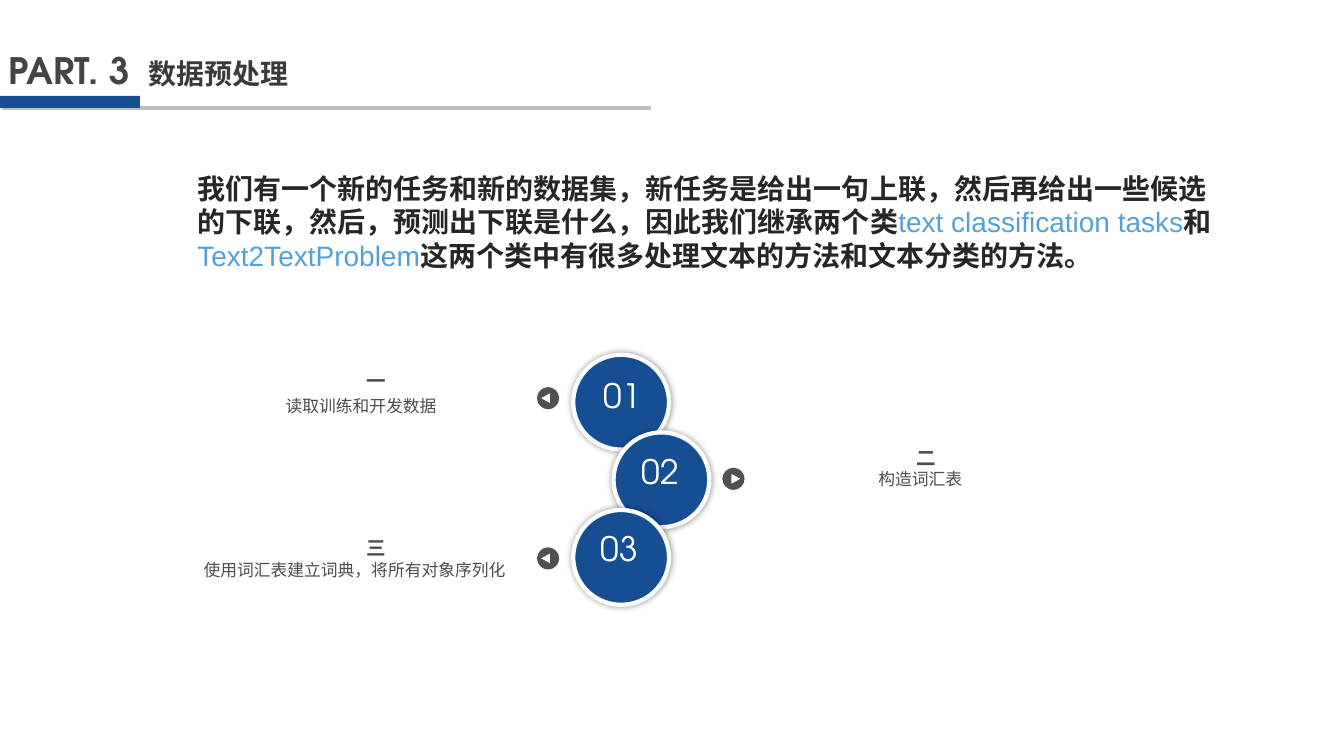
from lxml.etree import SubElement
from pptx import Presentation
from pptx.dml.color import RGBColor
from pptx.enum.shapes import MSO_CONNECTOR as CONN, MSO_SHAPE as SHAPE
from pptx.enum.text import MSO_ANCHOR as ANCHOR, MSO_AUTO_SIZE as FIT, PP_ALIGN as ALIGN
from pptx.oxml.ns import qn
from pptx.util import Inches, Pt

HEAD_FONT = "TeX Gyre Adventor"
BLUE, SKY, DARK, GREY, WHITE = "164E94", "54A0D8", "262626", "4D4D4D", "FFFFFF"

BODY = [
    [("我们有一个新的任务和新的数据集，新任务是给出一句上联，然后再给出一些候选", DARK, True)],
    [("的下联，然后，预测出下联是什么，因此我们继承两个类", DARK, True),
     ("text classification tasks", SKY, False),
     ("和", DARK, True)],
    [("Text2TextProblem", SKY, False),
     ("这两个类中有很多处理文本的方法和文本分类的方法。", DARK, True)],
]

STEPS = [
    dict(number="01", circle_x=0, number_at=(0.15, 0.15), icon_at=(-0.36, 0.32), side=-1,
         heading="一", heading_box=(-3.39, 0.09, 2.88),
         detail="读取训练和开发数据", detail_box=(-3.77, 0.36, 3.33)),
    dict(number="02", circle_x=0.4, number_at=(0.53, 0.13), icon_at=(1.48, 0.35), side=1,
         heading="二", heading_box=(1.77, 0.08, 3.46),
         detail="构造词汇表", detail_box=(1.8, 0.31, 3.29)),
    dict(number="03", circle_x=0, number_at=(0.12, 0.13), icon_at=(-0.36, 0.37), side=-1,
         heading="三", heading_box=(-3.39, 0.21, 2.88),
         detail="使用词汇表建立词典，将所有对象序列化", detail_box=(-3.83, 0.44, 3.32)),
]


def rgb(value):
    return RGBColor.from_string(value)


def add_run(p, text, size, color, bold=False, font=HEAD_FONT):
    r = p.add_run()
    r.text = text
    r.font.name, r.font.size, r.font.bold = font, Pt(size), bold
    r.font.color.rgb = rgb(color)


def text_frame(s, x, y, w, h):
    sp = s.shapes.add_textbox(Inches(x), Inches(y), Inches(w), Inches(h))
    tf = sp.text_frame
    tf.word_wrap = True
    tf.auto_size = FIT.SHAPE_TO_FIT_TEXT
    return tf


def centered(s, box, text, size, color, bold=False):
    p = text_frame(s, *box).paragraphs[0]
    p.alignment = ALIGN.CENTER
    add_run(p, text, size, color, bold)


def filled(sp, color):
    sp.shadow.inherit = False
    sp.fill.solid()
    sp.fill.fore_color.rgb = rgb(color)
    sp.line.fill.background()


def header(s, x, y, w):
    title = s.shapes.title
    title.left, title.top = Inches(x + 1.37), Inches(y + 0.08)
    title.width, title.height = Inches(1.6), Inches(0.64)
    tf = title.text_frame
    tf.word_wrap = False
    tf.vertical_anchor = ANCHOR.TOP
    p = tf.paragraphs[0]
    p.alignment = ALIGN.LEFT
    p.line_spacing = 1.0
    add_run(p, "数据预处理", 20, "3A3A3A", True)

    rule_y = Inches(y + 0.64)
    rule = s.shapes.add_connector(CONN.STRAIGHT, Inches(x + w), rule_y, Inches(x + 0.02), rule_y)
    rule.line.color.rgb = rgb("BFBFBF")
    rule.line.width = Pt(3)
    SubElement(rule._element.spPr, qn("a:effectLst"))

    bar = s.shapes.add_shape(SHAPE.RECTANGLE, Inches(x - 0.02), Inches(y + 0.52),
                             Inches(1.41), Inches(0.12))
    filled(bar, BLUE)
    centered(s, (x - 0.1, y, 1.57, 0.54), "PART. 3", 26, "444444", True)


def body(s, x, y, w, h):
    tf = text_frame(s, x, y, w, h)
    for i, runs in enumerate(BODY):
        p = tf.add_paragraph() if i else tf.paragraphs[0]
        for text, color, bold in runs:
            add_run(p, text, 20, color, bold, "Arial")


def circle(s, x, y):
    sp = s.shapes.add_shape(SHAPE.OVAL, Inches(x), Inches(y), Inches(0.95), Inches(0.94))
    filled(sp, BLUE)
    sp.line.color.rgb = rgb(WHITE)
    sp.line.width = Pt(3)
    effects = sp._element.spPr.find(qn("a:effectLst"))
    shadow = SubElement(effects, qn("a:outerShdw"), blurRad=str(Pt(5)), dist="0",
                        algn="ctr", rotWithShape="0")
    color = SubElement(shadow, qn("a:srgbClr"), val="000000")
    SubElement(color, qn("a:alpha"), val="40000")


def arrow_icon(s, x, y, side):
    radius, bend = 0.11, 0.06
    cx, cy = x + radius, y + radius

    def points(offsets):
        return [(Inches(cx + side * dx), Inches(cy + dy)) for dx, dy in offsets]

    ring = []
    dx, dy = 0, -1
    for _ in range(4):
        nx, ny = -dy, dx
        ring += [(dx * radius + nx * bend, dy * radius + ny * bend),
                 (nx * radius + dx * bend, ny * radius + dy * bend),
                 (nx * radius, ny * radius)]
        dx, dy = nx, ny
    tip, *base = points([(0.07, 0), (-0.02, 0.05), (-0.02, -0.05)])
    outline = s.shapes.build_freeform(*points([(0, -radius)])[0])
    outline.add_line_segments(points(ring))
    outline.move_to(*tip)
    outline.add_line_segments(base)
    sp = outline.convert_to_shape()
    filled(sp, "505153")

    lines = list(sp._element.iter(qn("a:lnTo")))[:len(ring)]
    for first in range(0, len(ring), 3):
        curve = lines[first].makeelement(qn("a:cubicBezTo"))
        lines[first].addprevious(curve)
        for line in lines[first:first + 3]:
            curve.append(line[0])
            line.getparent().remove(line)


def steps(s, x, y):
    tops = [y + i * 0.77 for i in range(len(STEPS))]
    for step, top in zip(STEPS, tops):
        circle(s, x + step["circle_x"], top)
    for step, top in zip(STEPS, tops):
        dx, dy = step["icon_at"]
        arrow_icon(s, x + dx, top + dy, step["side"])
        dx, dy = step["number_at"]
        centered(s, (x + dx, top + dy, 0.67, 0.5), step["number"], 24, WHITE)
        dx, dy, w = step["detail_box"]
        centered(s, (x + dx, top + dy, w, 0.3), step["detail"], 12, GREY)
        dx, dy, w = step["heading_box"]
        centered(s, (x + dx, top + dy, w, 0.34), step["heading"], 14, GREY, True)


def main():
    prs = Presentation()
    prs.slide_width, prs.slide_height = Inches(13.34), Inches(7.5)
    s = prs.slides.add_slide(prs.slide_layouts[5])
    steps(s, 5.69, 3.52)
    header(s, 0, 0.43, 6.46)
    body(s, 1.86, 1.65, 10.39, 1.11)
    prs.save("out.pptx")


if __name__ == "__main__":
    main()
